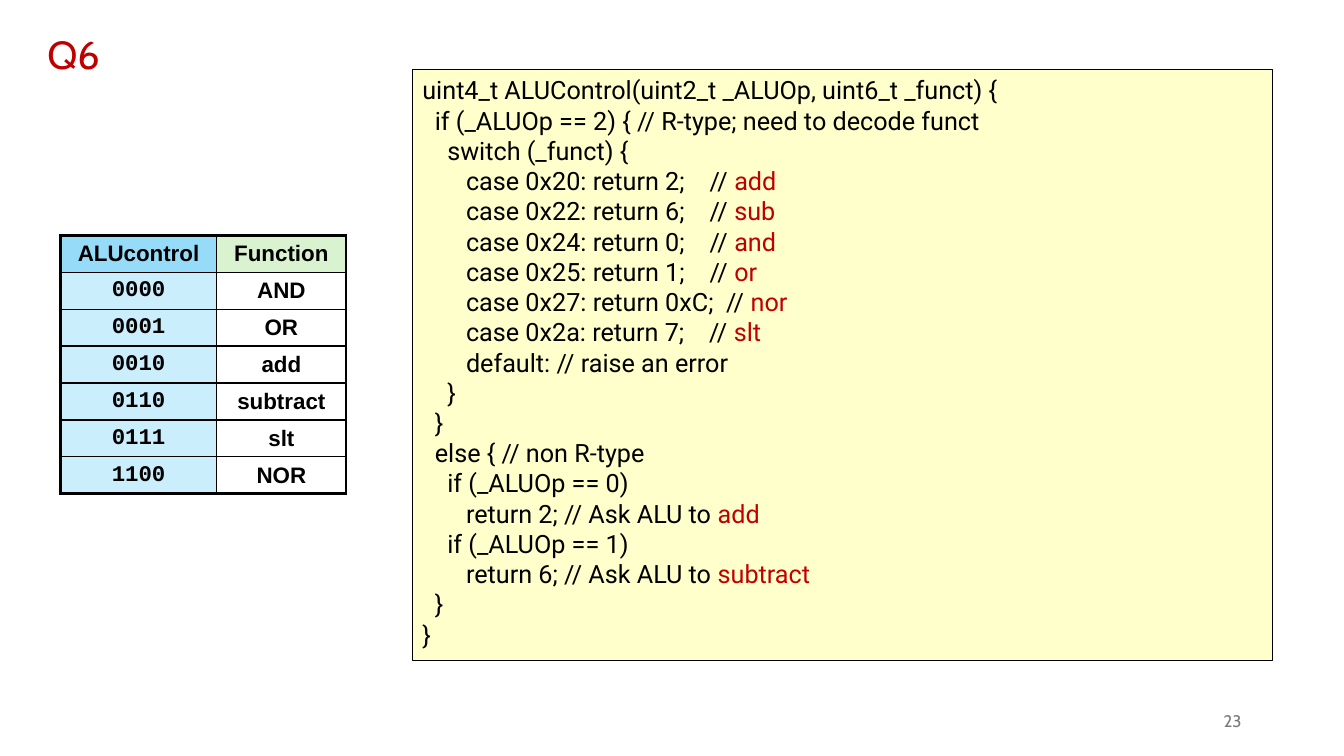
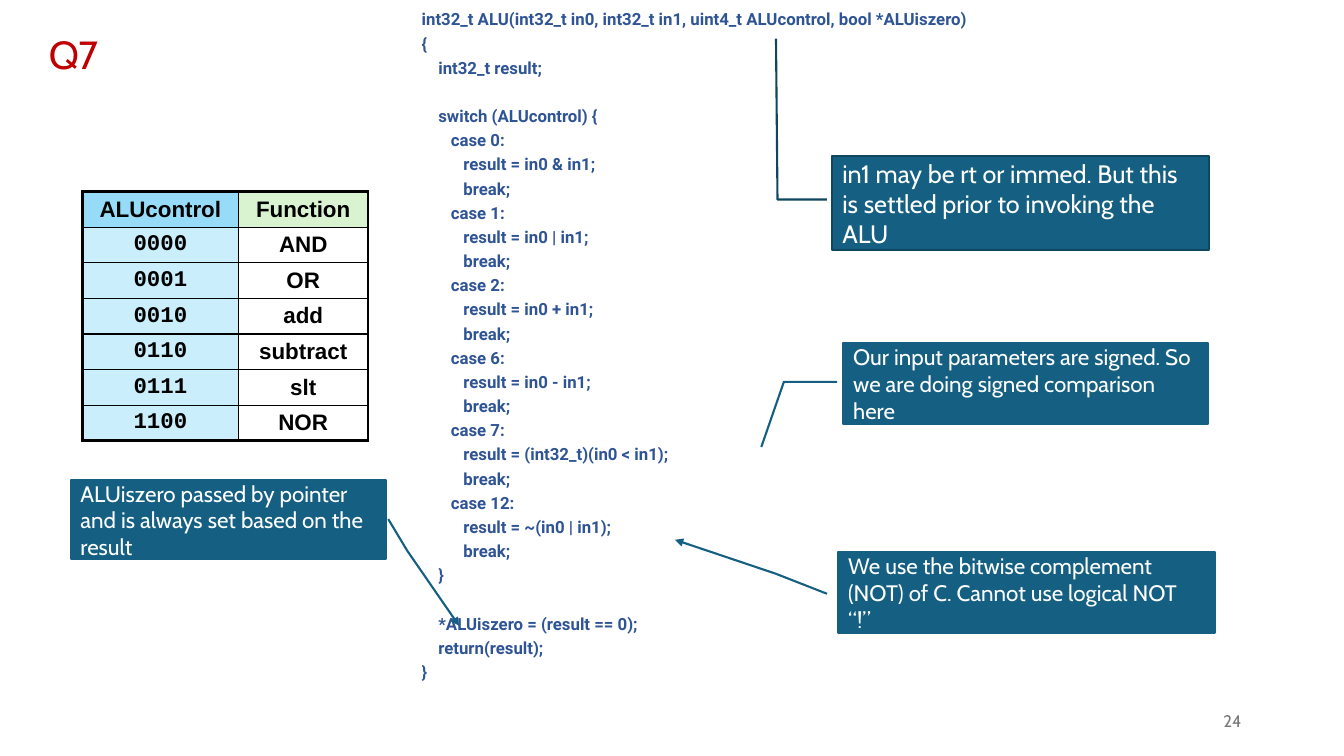
import lxml.etree
import pptx
import pptx.dml.color
import pptx.enum.shapes
import pptx.enum.text
import pptx.oxml.ns
import pptx.util

Pt = pptx.util.Pt
Rgb = pptx.dml.color.RGBColor.from_string
Align = pptx.enum.text.PP_ALIGN
Anchor = pptx.enum.text.MSO_ANCHOR
Fit = pptx.enum.text.MSO_AUTO_SIZE
Kind = pptx.enum.shapes.MSO_SHAPE
qn = pptx.oxml.ns.qn

ink = {
    "red": "C00000", "black": "000000", "white": "FFFFFF", "gray": "797979",
    "cream": "FFFFCC", "navy": "2F5496", "teal": "156082", "dark": "104760",
    "sky": "96DCF8", "ice": "CAEEFB", "mint": "D9F2D0",
}

deck = pptx.Presentation()
deck.slide_width = pptx.util.Inches(40 / 3)
deck.slide_height = pptx.util.Inches(7.5)
unit = deck.slide_width / 160


def grid(*cells):
    return [round(cell * unit) for cell in cells]


def style(para, size, face, tone, bold=False):
    for run in para.runs:
        run.font.size = Pt(size)
        run.font.name = face
        run.font.bold = bold
        run.font.color.rgb = Rgb(ink[tone])


rows = [
    ("ALUcontrol", "Function"), ("0000", "AND"), ("0001", "OR"), ("0010", "add"),
    ("0110", "subtract"), ("0111", "slt"), ("1100", "NOR"),
]
pages = [
    ("Q6", "23", 5, (7.2, 28), 4.4),
    ("Q7", "24", 1, (9.8, 22.8), 4.24),
]
slides = []

for head, num, lay, spot, high in pages:
    slide = deck.slides.add_slide(deck.slide_layouts[lay])
    slides.append(slide)

    title = slide.shapes.title
    title.left, title.top, title.width, title.height = grid(2.8, 3, 11.9, 6.8)
    frame = title.text_frame
    frame.text = head
    frame.auto_size = Fit.NONE
    frame.vertical_anchor = Anchor.MIDDLE
    frame.paragraphs[0].alignment = Align.CENTER
    style(frame.paragraphs[0], 28, "Cabin", "red")

    foot = slide.shapes.add_textbox(*grid(113, 83.4, 36, 4.8)).text_frame
    foot.word_wrap = True
    foot.vertical_anchor = Anchor.MIDDLE
    foot.text = num
    foot.paragraphs[0].alignment = Align.RIGHT
    style(foot.paragraphs[0], 12, "Cabin", "gray")

    table = slide.shapes.add_table(
        len(rows), 2, *grid(*spot, 34, high * len(rows))).table
    table.first_row = table.horz_banding = False
    for col, wide in zip(table.columns, grid(18.6, 15.4)):
        col.width = wide
    for r, row in enumerate(rows):
        table.rows[r].height = grid(high)[0]
        for c, word in enumerate(row):
            cell = table.cell(r, c)
            cell.text = word
            cell.vertical_anchor = Anchor.MIDDLE
            cell.margin_top = cell.margin_bottom = Pt(2)
            para = cell.text_frame.paragraphs[0]
            para.alignment = Align.CENTER
            face = "Courier New" if r and c == 0 else "Arial"
            style(para, 16, face, "black", True)
            edges = {"L": c == 0, "R": c == 1, "T": r == 0, "B": r == len(rows) - 1}
            props = cell._tc.get_or_add_tcPr()
            for side, outer in edges.items():
                line = lxml.etree.SubElement(
                    props, qn("a:ln" + side), w=str(Pt(2.25 if outer else 1)))
                fill = lxml.etree.SubElement(line, qn("a:solidFill"))
                lxml.etree.SubElement(fill, qn("a:srgbClr"), val=ink["black"])
            cell.fill.solid()
            tone = ("ice", "white")[c] if r else ("sky", "mint")[c]
            cell.fill.fore_color.rgb = Rgb(ink[tone])

first, second = slides

ops = [
    ("0x20", "2", "add"), ("0x22", "6", "sub"), ("0x24", "0", "and"),
    ("0x25", "1", "or"), ("0x27", "0xC", "nor"), ("0x2a", "7", "slt"),
]
code = [
    ("uint4_t ALUControl(uint2_t _ALUOp, uint6_t _funct) {", ""),
    ("  if (_ALUOp == 2) { // R-type; need to decode funct", ""),
    ("    switch (_funct) {", ""),
    *[(f"       case {op}: return {val + ';':<6}// ", name) for op, val, name in ops],
    ("       default: // raise an error", ""),
    ("    }", ""),
    ("  }", ""),
    ("  else { // non R-type", ""),
    ("    if (_ALUOp == 0)", ""),
    ("       return 2; // Ask ALU to ", "add"),
    ("    if (_ALUOp == 1)", ""),
    ("       return 6; // Ask ALU to ", "subtract"),
    ("  }", ""),
    ("}", ""),
]
panel = first.shapes.add_shape(Kind.RECTANGLE, *grid(49.1, 8.3, 102.4, 70.3))
panel.shadow.inherit = False
panel.fill.solid()
panel.fill.fore_color.rgb = Rgb(ink["cream"])
panel.line.color.rgb = Rgb(ink["black"])
panel.line.width = Pt(0.75)
frame = panel.text_frame
frame.word_wrap = True
frame.vertical_anchor = Anchor.TOP
frame.text = "\n".join(text for text, name in code)
for para, (text, name) in zip(frame.paragraphs, code):
    para.alignment = Align.LEFT
    style(para, 18, "Roboto", "black")
    if name:
        run = para.add_run()
        run.text = name
        run.font.size = Pt(18)
        run.font.name = "Roboto"
        run.font.color.rgb = Rgb(ink["red"])

cases = [
    (0, "in0 & in1"), (1, "in0 | in1"), (2, "in0 + in1"), (6, "in0 - in1"),
    (7, "(int32_t)(in0 < in1)"), (12, "~(in0 | in1)"),
]
switch = ["    switch (ALUcontrol) {"]
for num, value in cases:
    switch += [f"       case {num}:", f"          result = {value};", "          break;"]
blocks = [
    ["int32_t ALU(int32_t in0, int32_t in1, uint4_t ALUcontrol, bool *ALUiszero)",
     "{", "    int32_t result;"],
    switch + ["    }"],
    ["    *ALUiszero = (result == 0);", "    return(result);", "}"],
]
starts = {blocks[1][0], blocks[2][0]}
body = second.placeholders[1]
body.left, body.top, body.width, body.height = grid(49, 0, 92.5, 82.3)
frame = body.text_frame
frame.text = "\n".join(line for block in blocks for line in block)
frame.auto_size = Fit.NONE
frame.vertical_anchor = Anchor.TOP
for para in frame.paragraphs:
    props = para._p.get_or_add_pPr()
    props.set("marL", "0")
    props.set("indent", "0")
    lxml.etree.SubElement(props, qn("a:buNone"))
    para.alignment = Align.JUSTIFY
    para.line_spacing = 1.2
    para.space_before = Pt(17.3 if para.text in starts else 0)
    style(para, 12, "Roboto", "navy", True)

notes = [
    ("in1 may be rt or immed. But this is settled prior to invoking the ALU",
     (99.1, 18.6, 44.8, 11.2), 18, "dark", False,
     (0.46, -0.015, 0.46, -0.146, -1.25, -0.15)),
    ("Our input parameters are signed. So we are doing signed comparison here",
     (100.4, 40.8, 43.4, 9.7), 16, "teal", False,
     (0.48, -0.017, 0.48, -0.163, 1.28, -0.225)),
    ("We use the bitwise complement (NOT) of C. Cannot use logical NOT “!”",
     (99.8, 65.7, 44.8, 9.6), 16, "teal", True,
     (0.52, -0.03, 0.27, -0.167, -0.15, -0.434)),
    ("ALUiszero passed by pointer and is always set based on the result",
     (8.4, 57.2, 37.6, 9.4), 16, "teal", True,
     (0.49, 1.006, 0.89, 1.066, 1.84, 1.23)),
]
for text, area, size, edge, arrow, bends in notes:
    note = second.shapes.add_shape(Kind.LINE_CALLOUT_2, *grid(*area))
    note.shadow.inherit = False
    for i, bend in enumerate(bends):
        note.adjustments[i] = bend
    note.fill.solid()
    note.fill.fore_color.rgb = Rgb(ink["teal"])
    note.line.color.rgb = Rgb(ink[edge])
    note.line.width = Pt(1.5)
    if arrow:
        line = note.element.xpath(".//a:ln")[0]
        lxml.etree.SubElement(line, qn("a:tailEnd"), type="triangle")
    frame = note.text_frame
    frame.word_wrap = True
    frame.vertical_anchor = Anchor.MIDDLE
    frame.text = text
    frame.paragraphs[0].alignment = Align.LEFT
    style(frame.paragraphs[0], size, "Cabin", "white")

deck.save("out.pptx")
